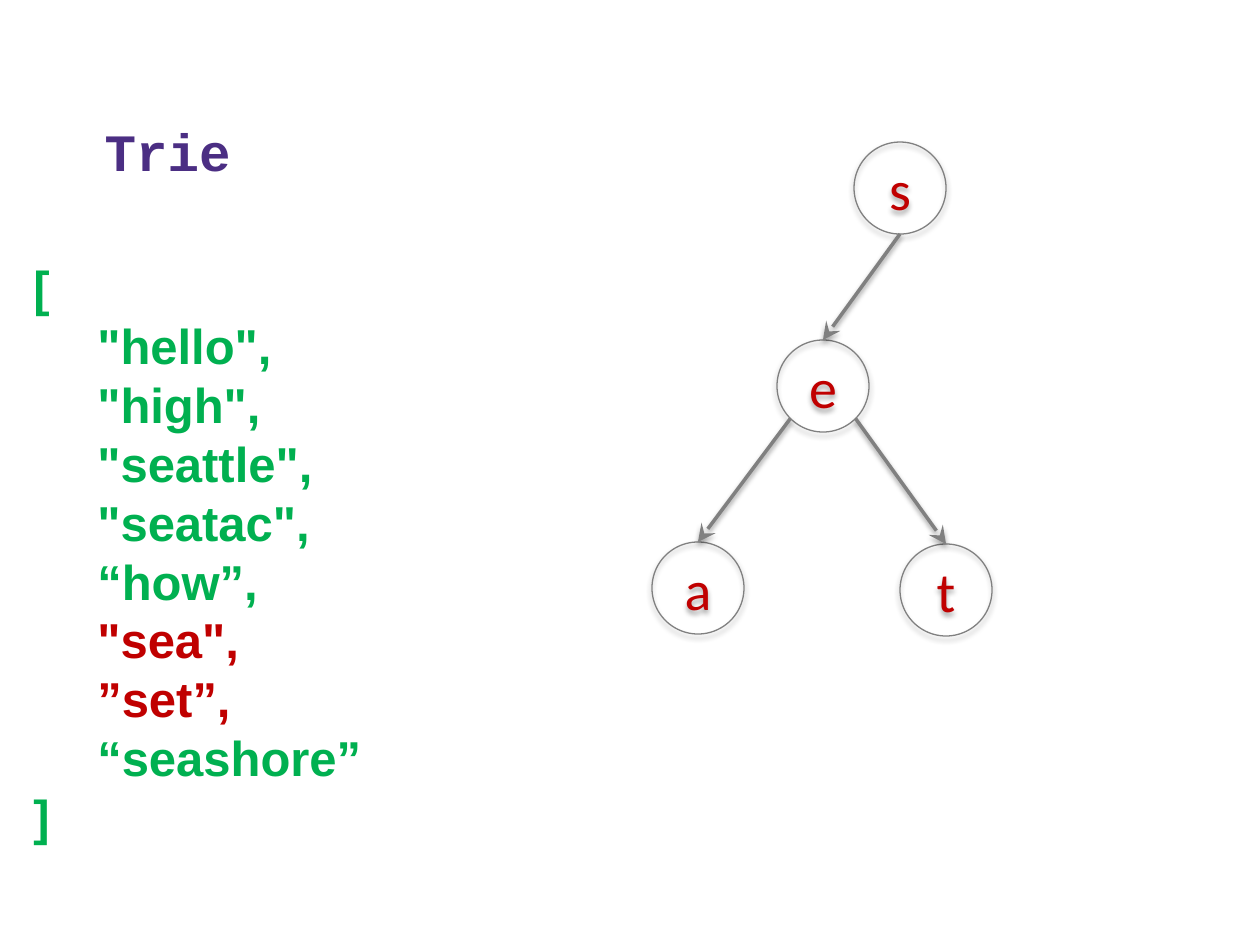
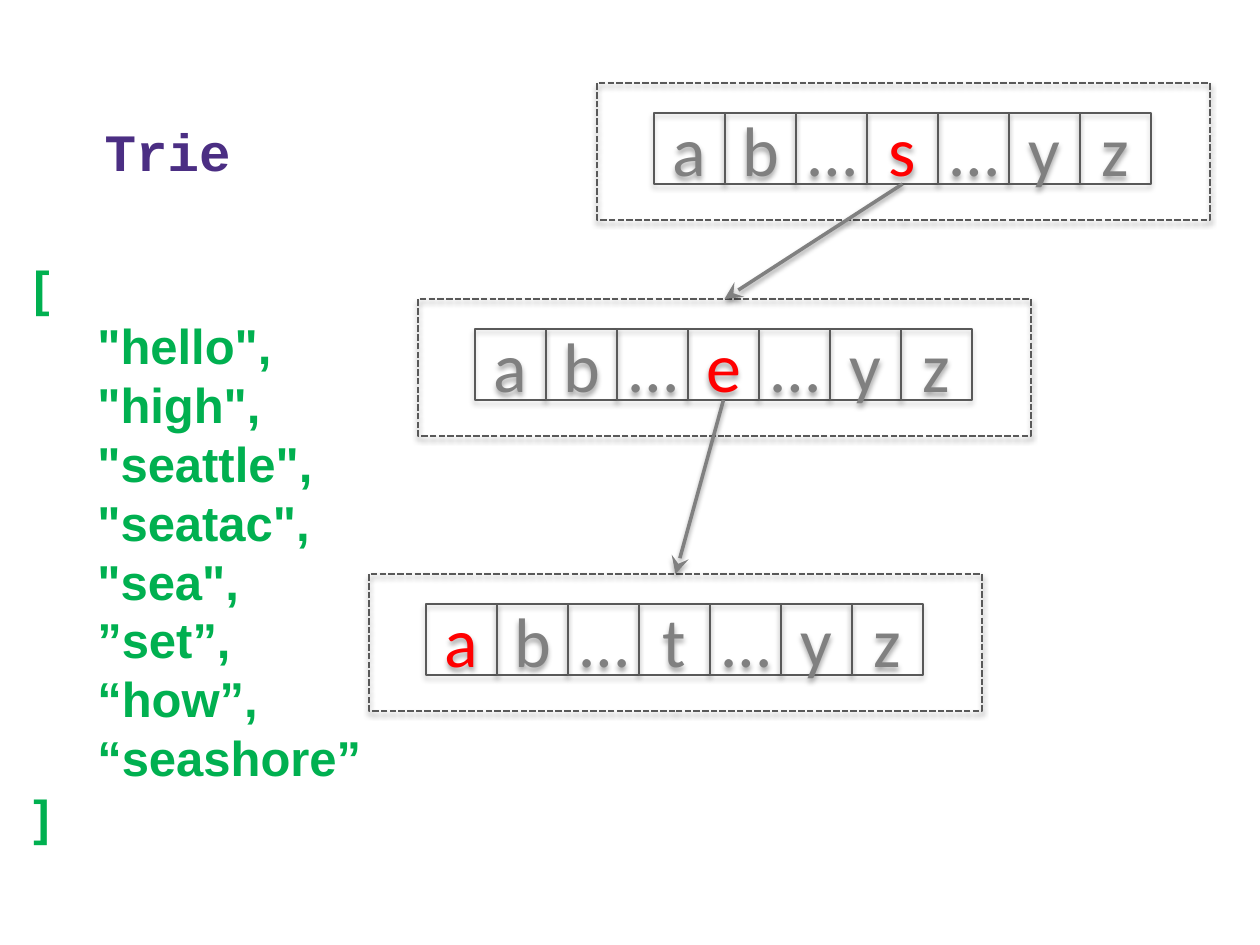
"""Build two slides that show a trie as linked nodes and as linked letter arrays."""
from dataclasses import dataclass
from typing import Any

from lxml.etree import SubElement
from pptx import Presentation
from pptx.dml.color import RGBColor
from pptx.enum.dml import MSO_LINE
from pptx.enum.shapes import MSO_CONNECTOR, MSO_SHAPE
from pptx.enum.text import MSO_ANCHOR, MSO_AUTO_SIZE, PP_ALIGN
from pptx.oxml.ns import qn
from pptx.util import Emu, Pt

PURPLE = RGBColor(0x4B, 0x2E, 0x83)
GREEN = RGBColor(0x00, 0xB0, 0x50)
DARK_RED = RGBColor(0xC0, 0x00, 0x00)
RED = RGBColor(0xFF, 0x00, 0x00)
GRAY = RGBColor(0x80, 0x80, 0x80)
DARK_GRAY = RGBColor(0x59, 0x59, 0x59)

PX_PER_INCH = 126
TITLE_FONT = {"name": "Courier New", "size": Pt(30), "bold": True}
WORD_FONT = {"name": "Arial", "size": Pt(28), "bold": True}
NODE_FONT = {"name": "Calibri", "size": Pt(32)}
CELL_FONT = {"name": "Calibri", "size": Pt(40)}
TITLE_FRAME = {"vertical_anchor": MSO_ANCHOR.BOTTOM, "word_wrap": True, "auto_size": MSO_AUTO_SIZE.NONE}

NODE_SIZE = 92
DIAGONAL = 0.5 ** 0.5
CELL_SIZE = 71
FRAME_WIDTH, FRAME_HEIGHT = 613, 137
CELLS_LEFT, CELLS_TOP = 57, 30


@dataclass(frozen=True)
class Box:
    """A rectangle in px."""
    left: int
    top: int
    width: int
    height: int

    def emu(self) -> tuple[Emu, ...]:
        """Return left, top, width and height in EMU."""
        return tuple(px(value) for value in (self.left, self.top, self.width, self.height))


@dataclass(frozen=True)
class Node:
    """A round trie node, with the direction its incoming edge leaves the parent."""
    letter: str
    left: int
    top: int
    parent: str = ""
    leave_x: float = 0
    leave_y: float = 1


@dataclass(frozen=True)
class LetterArray:
    """A framed row of letter cells with one letter on the path."""
    left: int
    top: int
    middle: str
    path_letter: str


TITLE_BOX = Box(92, 52, 1128, 136)
WORDS_BOX = Box(21, 251, 430, 606)
NODES = [
    Node("s", 854, 142),
    Node("e", 777, 340, "s"),
    Node("a", 652, 542, "e", -DIAGONAL, DIAGONAL),
    Node("t", 900, 544, "e", DIAGONAL, DIAGONAL),
]
ARRAYS = [
    LetterArray(597, 83, "s", "s"),
    LetterArray(418, 299, "e", "e"),
    LetterArray(369, 574, "t", "a"),
]
NODE_WORDS = ['"hello",', '"high",', '"seattle",', '"seatac",', "“how”,", '"sea",', "”set”,", "“seashore”"]
ARRAY_WORDS = ['"hello",', '"high",', '"seattle",', '"seatac",', '"sea",', "”set”,", "“how”,", "“seashore”"]


def px(value: float) -> Emu:
    """Turn px into EMU."""
    return Emu(round(value * 914400 / PX_PER_INCH))


def apply(target: Any, values: dict[str, Any]) -> None:
    """Set every attribute in values on target."""
    for name, value in values.items():
        setattr(target, name, value)


def set_font(paragraph: Any, values: dict[str, Any], color: RGBColor) -> None:
    """Format a paragraph's font."""
    apply(paragraph.font, values)
    paragraph.font.color.rgb = color


def set_line(shape: Any, color: RGBColor, width: float) -> None:
    """Give a shape or connector a solid line."""
    shape.line.color.rgb = color
    shape.line.width = Pt(width)


def add_shadow(shape: Any, opacity: int, distance: float) -> None:
    """Replace the theme shadow by a soft one that falls straight down."""
    effects = SubElement(shape._element.spPr, qn("a:effectLst"))
    shadow = SubElement(effects, qn("a:outerShdw"), blurRad=str(Pt(3.1)), dist=str(Pt(distance)),
                        dir="5400000", rotWithShape="0")
    black = SubElement(shadow, qn("a:srgbClr"), val="000000")
    SubElement(black, qn("a:alpha"), val=str(opacity * 1000))


def add_outline(slide: Any, kind: MSO_SHAPE, box: Box, color: RGBColor, width: float = 0.75,
                dash: MSO_LINE | None = None) -> Any:
    """Draw an unfilled shape with a shadow."""
    shape = slide.shapes.add_shape(kind, *box.emu())
    shape.fill.background()
    set_line(shape, color, width)
    if dash is not None:
        shape.line.dash_style = dash
    add_shadow(shape, 35, 1.8)
    return shape


def add_letter(shape: Any, letter: str, font: dict[str, Any], color: RGBColor) -> None:
    """Center a letter in a shape."""
    shape.text_frame.vertical_anchor = MSO_ANCHOR.MIDDLE
    paragraph = shape.text_frame.paragraphs[0]
    paragraph.text = letter
    paragraph.alignment = PP_ALIGN.CENTER
    set_font(paragraph, font, color)


def add_arrow(slide: Any, start: tuple[float, float], target: Any) -> Any:
    """Draw an arrow from a point in px to the top of a shape."""
    start_x, start_y = map(px, start)
    connector = slide.shapes.add_connector(MSO_CONNECTOR.STRAIGHT, start_x, start_y, start_x, start_y)
    connector.end_connect(target, 0)
    set_line(connector, GRAY, 2)
    line = connector._element.spPr.find(qn("a:ln"))
    SubElement(line, qn("a:tailEnd"), type="stealth", w="lg", len="lg")
    add_shadow(connector, 38, 1.6)
    return connector


def add_word_list(slide: Any, words: list[str], path_words: set[str]) -> None:
    """Write the bracketed word list."""
    text_frame = slide.shapes.add_textbox(*WORDS_BOX.emu()).text_frame
    text_frame.word_wrap = True
    for index, line in enumerate(["[", *words, "]"]):
        paragraph = text_frame.paragraphs[0] if index == 0 else text_frame.add_paragraph()
        paragraph.text = line
        paragraph.line_spacing = Pt(33.6)
        if line in words:
            paragraph._p.get_or_add_pPr().set("marL", str(px(64)))
        set_font(paragraph, WORD_FONT, DARK_RED if line in path_words else GREEN)


def add_trie_slide(presentation: Any, words: list[str], path_words: set[str]) -> Any:
    """Add a slide with the shared title and a word list."""
    slide = presentation.slides.add_slide(presentation.slide_layouts[5])
    title = slide.shapes.title
    apply(title, dict(zip(("left", "top", "width", "height"), TITLE_BOX.emu())))
    apply(title.text_frame, TITLE_FRAME)
    paragraph = title.text_frame.paragraphs[0]
    paragraph.text = "Trie"
    paragraph.alignment = PP_ALIGN.LEFT
    set_font(paragraph, TITLE_FONT, PURPLE)
    add_word_list(slide, words, path_words)
    return slide


def draw_nodes(slide: Any) -> None:
    """Draw the round nodes and the arrows between them."""
    circles = {}
    for node in NODES:
        circle = add_outline(slide, MSO_SHAPE.OVAL, Box(node.left, node.top, NODE_SIZE, NODE_SIZE), GRAY)
        add_letter(circle, node.letter, NODE_FONT, DARK_RED)
        circles[node.letter] = circle
    nodes = {node.letter: node for node in NODES}
    radius = NODE_SIZE / 2
    for node in NODES:
        if node.parent:
            parent = nodes[node.parent]
            start = (parent.left + radius * (1 + node.leave_x), parent.top + radius * (1 + node.leave_y))
            add_arrow(slide, start, circles[node.letter])


def draw_array(slide: Any, array: LetterArray) -> tuple[Any, Any]:
    """Draw a letter array and return its frame and the cell on the path."""
    path_cell = None
    for index, letter in enumerate(["a", "b", "…", array.middle, "…", "y", "z"]):
        left = array.left + CELLS_LEFT + index * CELL_SIZE
        box = Box(left, array.top + CELLS_TOP, CELL_SIZE, CELL_SIZE)
        cell = add_outline(slide, MSO_SHAPE.RECTANGLE, box, DARK_GRAY)
        on_path = letter == array.path_letter
        add_letter(cell, letter, CELL_FONT, RED if on_path else GRAY)
        if on_path:
            path_cell = cell
    frame_box = Box(array.left, array.top, FRAME_WIDTH, FRAME_HEIGHT)
    frame = add_outline(slide, MSO_SHAPE.RECTANGLE, frame_box, DARK_GRAY, 1.25, MSO_LINE.SQUARE_DOT)
    return frame, path_cell


def draw_arrays(slide: Any) -> None:
    """Draw the letter arrays and link each path cell to the next frame."""
    drawn = [draw_array(slide, array) for array in ARRAYS]
    for (_, cell), (frame, _) in zip(drawn, drawn[1:]):
        connector = add_arrow(slide, (0, 0), frame)
        connector.begin_connect(cell, 2)


def main() -> None:
    """Build and save the presentation."""
    presentation = Presentation()
    presentation.slide_width = px(1260)
    presentation.slide_height = px(945)
    draw_nodes(add_trie_slide(presentation, NODE_WORDS, {'"sea",', "”set”,"}))
    draw_arrays(add_trie_slide(presentation, ARRAY_WORDS, set()))
    presentation.save("out.pptx")


if __name__ == "__main__":
    main()
